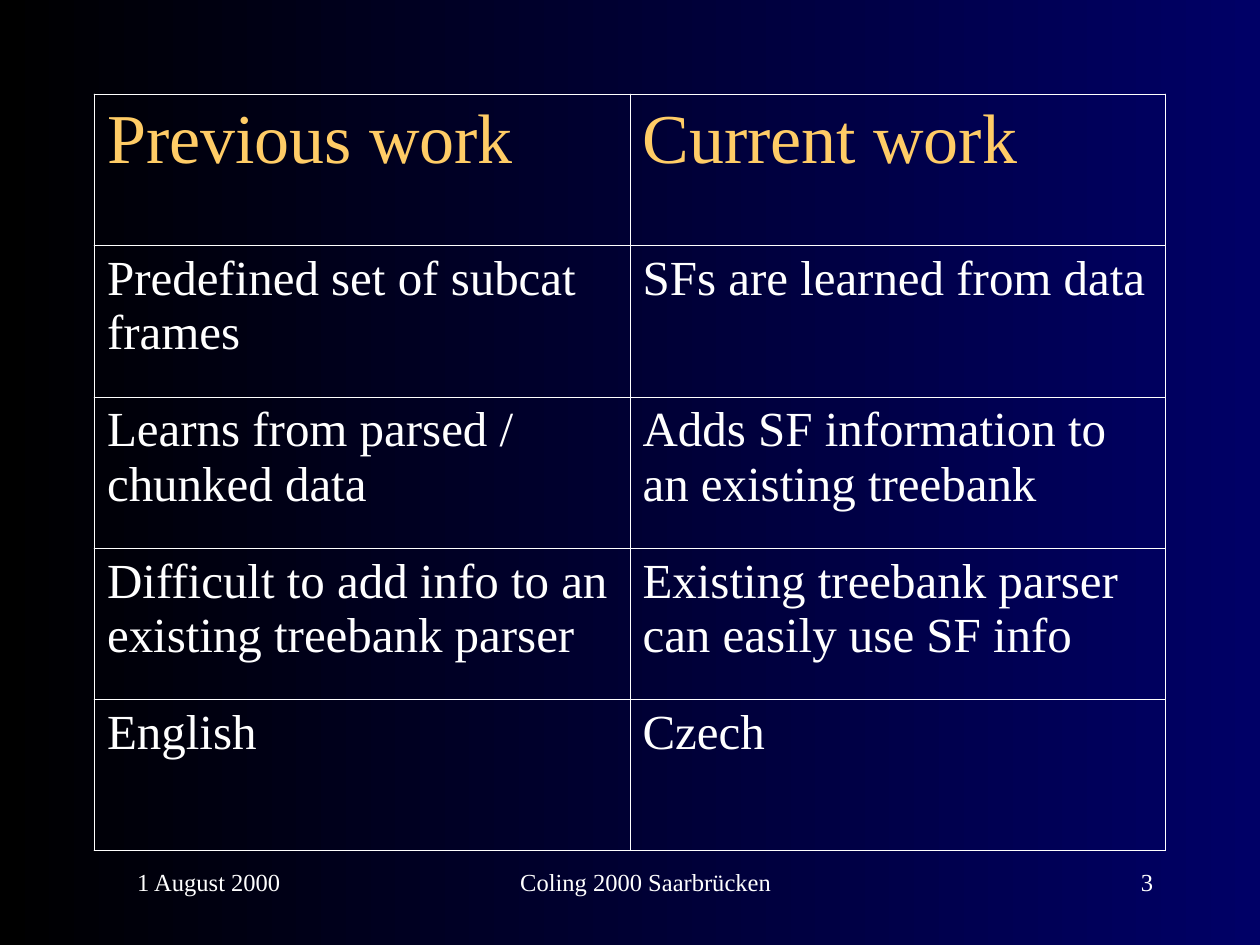
from lxml import etree
from pptx import Presentation
from pptx.dml.color import RGBColor
from pptx.enum.text import PP_ALIGN
from pptx.oxml.ns import qn
from pptx.util import Pt

PX = 9144  # 100 px to the inch
LEFT, CENTER, RIGHT = PP_ALIGN.LEFT, PP_ALIGN.CENTER, PP_ALIGN.RIGHT
WHITE = RGBColor(0xFF, 0xFF, 0xFF)
GOLD = RGBColor(0xFF, 0xCC, 0x66)
NAVY = RGBColor(0x00, 0x00, 0x66)
BLACK = RGBColor(0x00, 0x00, 0x00)

HEAD = {"name": "Times New Roman", "size": Pt(40), "bold": False}
BODY = {**HEAD, "size": Pt(28)}
FOOT = {**HEAD, "size": Pt(14)}
ROWS = [
    ("Previous work", "Current work"),
    ("Predefined set of subcat frames", "SFs are learned from data"),
    ("Learns from parsed / chunked data",
     "Adds SF information to an existing treebank"),
    ("Difficult to add info to an existing treebank parser",
     "Existing treebank parser can easily use SF info"),
    ("English", "Czech"),
]
LAYERS = [(0, 1), (2,), (3,), (4,)]  # rows filled in by each stacked table


def write(para, text, style, color):
    run = para.add_run()
    run.text = text
    for key, val in style.items():
        setattr(run.font, key, val)
    run.font.color.rgb = color


def edge(cell, side, width):
    props = cell._tc.get_or_add_tcPr()
    line = etree.SubElement(props, qn("a:ln" + side), w=str(Pt(width)))
    fill = etree.SubElement(line, qn("a:solidFill"))
    etree.SubElement(fill, qn("a:srgbClr"), val=str(WHITE))


prs = Presentation()
prs.slide_width, prs.slide_height = 1000 * PX, 750 * PX
slide = prs.slides.add_slide(prs.slide_layouts[6])

# Background, black on the left to navy on the right
back = slide.background.fill
back.gradient()
back.gradient_angle = 180
for stop, color in zip(back.gradient_stops, (NAVY, BLACK)):
    stop.color.rgb = color

# Comparison built up in stacked tables, with a heavier outer frame
count = len(ROWS)
for layer in LAYERS:
    frame = slide.shapes.add_table(
        count, 2, 75 * PX, 75 * PX, 850 * PX, 600 * PX)
    table = frame.table
    table.first_row = table.horz_banding = False
    for r, texts in enumerate(ROWS):
        style, color = (BODY, WHITE) if r else (HEAD, GOLD)
        for c, text in enumerate(texts):
            cell = table.cell(r, c)
            outer = {"L": c == 0, "R": c == 1, "T": r == 0, "B": r == count - 1}
            for side, heavy in outer.items():
                edge(cell, side, 1.08 if heavy else 0.45)
            cell.fill.background()
            if r in layer:
                write(cell.text_frame.paragraphs[0], text, style, color)

# Footer: event, page number and date
for text, x, w, align in [
    ("Coling 2000 Saarbrücken", 342, 317, CENTER),
    ("3", 717, 208, RIGHT),
    ("1 August 2000", 75, 208, LEFT),
]:
    box = slide.shapes.add_textbox(x * PX, 683 * PX, w * PX, 50 * PX)
    box.text_frame.word_wrap = True
    para = box.text_frame.paragraphs[0]
    para.alignment = align
    para._p.get_or_add_pPr().set("marL", str(24 * PX))
    write(para, text, FOOT, WHITE)

prs.save("out.pptx")
